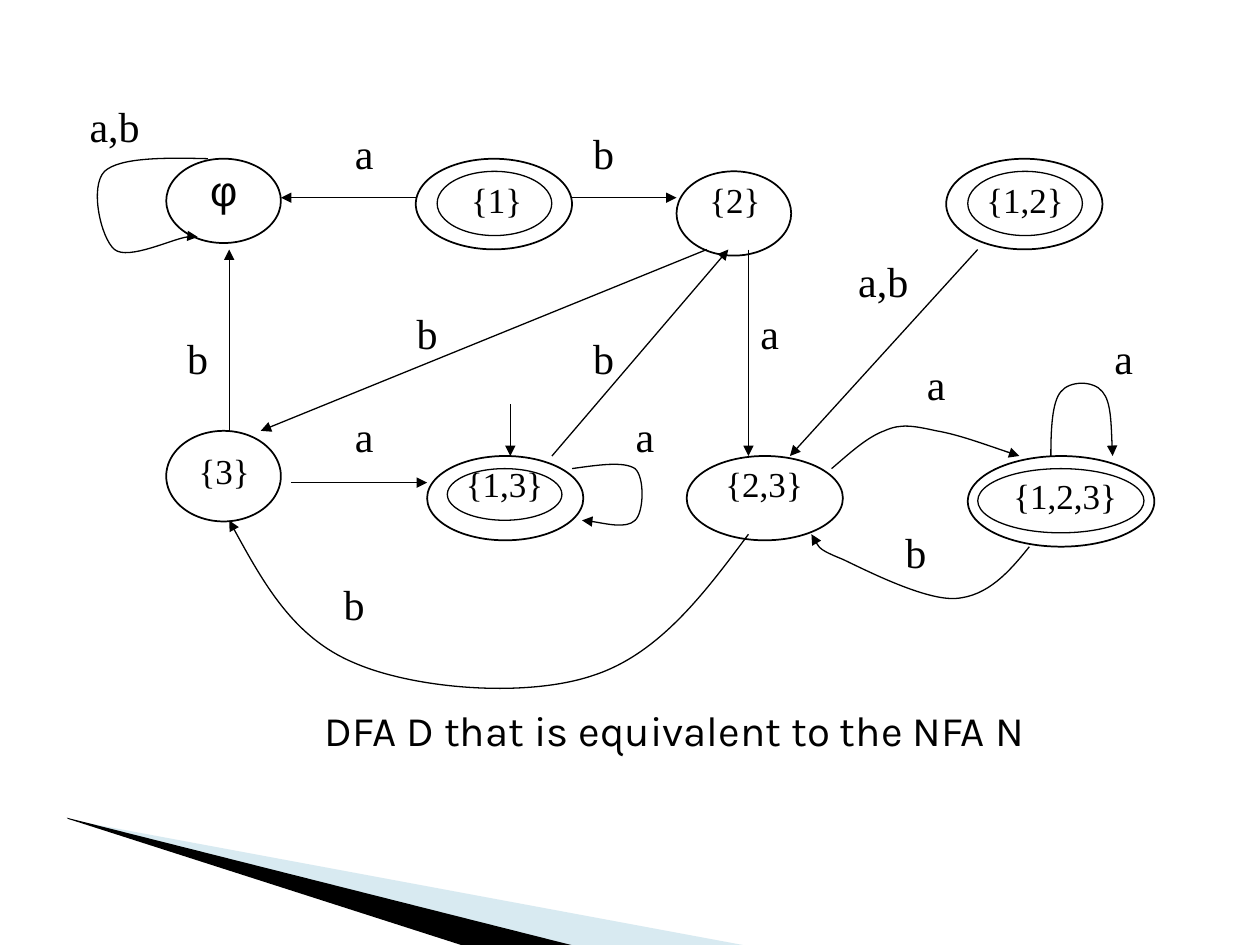
from lxml import etree
from pptx import Presentation
from pptx.dml.color import RGBColor
from pptx.enum import shapes as kinds, text as txt
from pptx.oxml.ns import qn
from pptx.util import Pt

BLACK, PALE_BLUE = "000000", "9FCBDC"
SERIF = "Times New Roman"


def style_line(shape, width, arrow=False):
    shape.line.color.rgb = RGBColor.from_string(BLACK)
    shape.line.width = Pt(width)
    if arrow:
        etree.SubElement(shape.line._get_or_add_ln(), qn("a:tailEnd"), type="triangle")


def add_text(words, left, top, width, height, size, face=SERIF, align=txt.PP_ALIGN.CENTER):
    box = slide.shapes.add_textbox(Pt(left), Pt(top), Pt(width), Pt(height))
    box.text_frame.word_wrap = True
    paragraph = box.text_frame.paragraphs[0]
    paragraph.text = words
    paragraph.alignment = align
    for name, value in {"size": Pt(size), "name": face}.items():
        setattr(paragraph.font, name, value)
    paragraph.font.color.rgb = RGBColor.from_string(BLACK)


deck = Presentation()
deck.slide_width, deck.slide_height = Pt(720), Pt(540)
slide = deck.slides.add_slide(deck.slide_layouts[6])

wedges = [
    (PALE_BLUE, 40, [(39.6, 468.4), (428.4, 540.7), (328.3, 540.7), (39.6, 468)]),
    (BLACK, 100, [(38.2, 467.3), (329, 540.7), (267.8, 541.4), (38.9, 468)]),
]
for colour, opacity, corners in wedges:
    points = [(Pt(x), Pt(y)) for x, y in corners]
    builder = slide.shapes.build_freeform(*points[0])
    builder.add_line_segments(points[1:], close=True)
    wedge = builder.convert_to_shape()
    wedge.shadow.inherit = False
    wedge.fill.solid()
    wedge.fill.fore_color.rgb = RGBColor.from_string(colour)
    wedge.line.fill.background()
    if opacity < 100:
        tint = wedge._element.spPr.find(qn("a:solidFill"))[0]
        etree.SubElement(tint, qn("a:alpha"), val=str(opacity * 1000))

outer_rings = [
    (95, 90.7, 65.5, 48.2), (95, 246.2, 65.5, 51.8),
    (244.1, 260.6, 89.3, 48.2), (392.4, 260.6, 89.3, 48.2),
    (540.7, 90.7, 89.3, 51.8), (553, 260.6, 106.6, 51.8),
    (386.6, 97.9, 65.5, 48.2), (237.6, 90.7, 89.3, 51.8),
]
accepting_rings = [
    (249.8, 97.9, 65.5, 36.7), (553, 97.9, 65.5, 36.7),
    (255.6, 267.8, 65.5, 29.5), (558.7, 267.8, 95, 36.7),
]
for rings, width in ((outer_rings, 1), (accepting_rings, 0.75)):
    for frame in rings:
        ring = slide.shapes.add_shape(kinds.MSO_SHAPE.OVAL, *map(Pt, frame))
        ring.shadow.inherit = False
        ring.fill.background()
        style_line(ring, width)

add_text("φ", 113, 90.7, 36, 36, 24, "Arial", txt.PP_ALIGN.LEFT)
state_names = [
    ("{1}", 262.1, 98.6, 53.3, txt.PP_ALIGN.LEFT),
    ("{2}", 398.2, 98.6, 65.5, txt.PP_ALIGN.LEFT),
    ("{1,2}", 553, 98.6, 65.5, txt.PP_ALIGN.CENTER),
    ("{3}", 101.5, 253.4, 53.3, txt.PP_ALIGN.CENTER),
    ("{1,3}", 255.6, 260.6, 65.5, txt.PP_ALIGN.CENTER),
    ("{2,3}", 403.9, 260.6, 65.5, txt.PP_ALIGN.CENTER),
    ("{1,2,3}", 570.2, 267.8, 77, txt.PP_ALIGN.CENTER),
]
for name, left, top, width, align in state_names:
    add_text(name, left, top, width, 31.7, 20, align=align)

straight_moves = [
    (131, 246.2, 131, 142.6), (237.6, 113, 160.6, 113),
    (326.9, 113, 386.6, 113), (403.9, 142.6, 149, 246.2),
    (166.3, 275.8, 244.1, 275.8), (315.4, 260.6, 416.2, 142.6),
    (427.7, 142.6, 427.7, 260.6), (558.7, 142.6, 451.4, 260.6),
    (291.6, 231.1, 291.6, 260.6),
]
for ends in straight_moves:
    move = slide.shapes.add_connector(kinds.MSO_CONNECTOR.STRAIGHT, *map(Pt, ends))
    style_line(move, 0.75, arrow=True)
    etree.SubElement(move._element.spPr, qn("a:effectLst"))

curved_moves = [
    [(118.8, 90.7), (93.6, 90), (68.4, 90), (59.8, 97.9), (51.1, 106.6), (57.6, 136.1),
     (65.5, 142.6), (73.4, 149), (99.4, 136.1), (107.3, 135.4), (115.2, 133.9),
     (114.5, 134.6), (113, 135.4)],
    [(427.7, 305.3), (402.5, 339.1), (376.6, 373.7), (339.1, 385.9), (301, 398.9),
     (236.9, 393.8), (202.3, 378.7), (167.8, 364.3), (149, 330.5), (131, 297.4)],
    [(326.9, 267.8), (342, 265.7), (356.4, 263.5), (362.9, 267.8), (368.6, 272.9),
     (367.9, 293), (362.9, 297.4), (357.8, 302.4), (337.7, 297.4), (332.6, 297.4)],
    [(475.2, 267.8), (485.3, 259.2), (495.4, 249.8), (505.4, 246.2), (514.8, 241.9),
     (522, 243.4), (535, 246.2), (547.9, 248.4), (565.2, 254.9), (582.5, 260.6)],
    [(588.2, 312.5), (576.7, 326.9), (564.5, 340.6), (546.5, 342), (529.2, 343.4),
     (495.4, 326.2), (481.7, 319.7), (467.3, 313.9), (465.8, 309.6), (463.7, 305.3)],
    [(600.5, 260.6), (600.5, 245.5), (601.2, 229.7), (606.2, 223.9), (611.3, 217.4),
     (625, 217.4), (630, 223.9), (635, 229.7), (635, 245.5), (635.8, 260.6)],
]
for controls in curved_moves:
    points = [(Pt(x), Pt(y)) for x, y in controls]
    builder = slide.shapes.build_freeform(*points[0])
    builder.add_line_segments(points[1:], close=False)
    curve = builder.convert_to_shape()
    outline = next(curve._element.iter(qn("a:path")))
    segments = outline.findall(qn("a:lnTo"))
    for first in range(0, len(segments), 3):
        bezier = etree.SubElement(outline, qn("a:cubicBezTo"))
        for segment in segments[first:first + 3]:
            bezier.append(segment[0])
            outline.remove(segment)
    curve.shadow.inherit = False
    curve.fill.background()
    style_line(curve, 0.75, arrow=True)

input_symbols = [
    ("b", 95, 186.5), ("a", 190.1, 69.1), ("b", 326.9, 69.1), ("b", 226.1, 172.1),
    ("a", 190.1, 231.1), ("b", 326.9, 186.5), ("a", 421.9, 172.1), ("a,b", 475.2, 142.6),
    ("a,b", 36, 54), ("b", 184.3, 326.9), ("a", 350.6, 231.1), ("a", 517, 201.6),
    ("b", 505.4, 297.4), ("a", 624.2, 186.5),
]
for symbol, left, top in input_symbols:
    add_text(symbol, left, top, 59 if "," in symbol else 36, 36, 24)

add_text("DFA D that is equivalent to the NFA N", 178.6, 398.9, 427.7, 64.8, 24,
         "Karla", txt.PP_ALIGN.LEFT)

deck.save("out.pptx")
